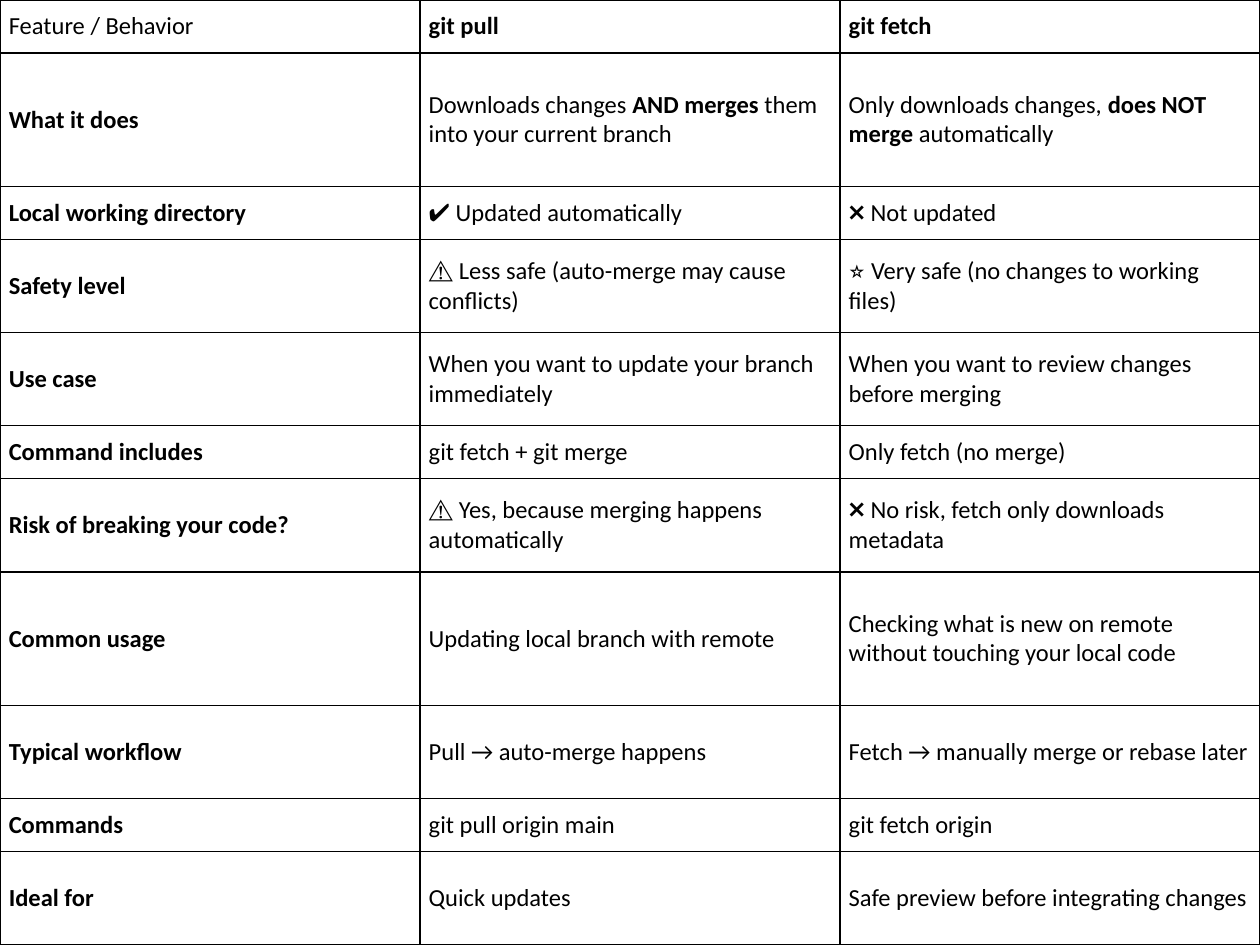
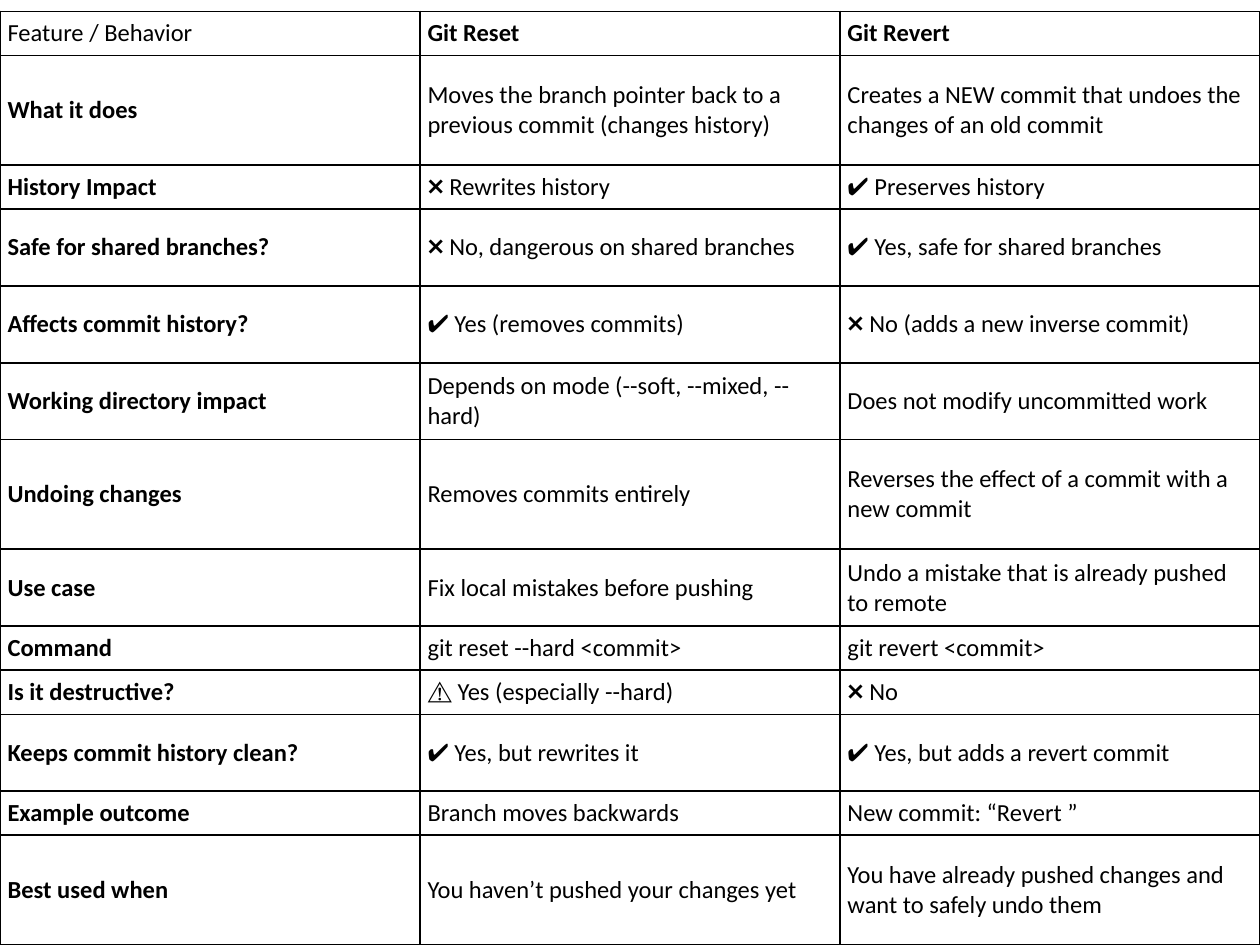
from lxml import etree
from pptx import Presentation
from pptx import util as u
from pptx.dml.color import RGBColor
from pptx.enum import text
from pptx.oxml import ns

WIDTH, HEIGHT = 10, 7.5
BLACK, WHITE = "000000", "FFFFFF"
FONT = {"name": "Calibri", "size": u.Pt(14)}
BORDER_WIDTH = u.Pt(1)
FEATURE_HEADING = "Feature / Behavior"

PULL_VS_FETCH = [
    (1, FEATURE_HEADING, "**git pull**", "**git fetch**"),
    (3, "**What it does**", "Downloads changes **AND merges** them into your current branch",
     "Only downloads changes, **does NOT merge** automatically"),
    (1, "**Local working directory**", "✔ Updated automatically", "❌ Not updated"),
    (2, "**Safety level**", "⚠️ Less safe (auto-merge may cause conflicts)",
     "⭐ Very safe (no changes to working files)"),
    (2, "**Use case**", "When you want to update your branch immediately",
     "When you want to review changes before merging"),
    (1, "**Command includes**", "git fetch + git merge", "Only fetch (no merge)"),
    (2, "**Risk of breaking your code?**", "⚠️ Yes, because merging happens automatically",
     "❌ No risk, fetch only downloads metadata"),
    (3, "**Common usage**", "Updating local branch with remote",
     "Checking what is new on remote without touching your local code"),
    (2, "**Typical workflow**", "Pull → auto-merge happens",
     "Fetch → manually merge or rebase later"),
    (1, "**Commands**", "git pull origin main", "git fetch origin"),
    (2, "**Ideal for**", "Quick updates", "Safe preview before integrating changes"),
]

RESET_VS_REVERT = [
    (1, FEATURE_HEADING, "**Git Reset**", "**Git Revert**"),
    (3, "**What it does**", "Moves the branch pointer back to a previous commit (changes history)",
     "Creates a NEW commit that undoes the changes of an old commit"),
    (1, "**History Impact**", "❌ Rewrites history", "✔ Preserves history"),
    (2, "**Safe for shared branches?**", "❌ No, dangerous on shared branches",
     "✔ Yes, safe for shared branches"),
    (2, "**Affects commit history?**", "✔ Yes (removes commits)",
     "❌ No (adds a new inverse commit)"),
    (2, "**Working directory impact**", "Depends on mode (--soft, --mixed, --hard)",
     "Does not modify uncommitted work"),
    (3, "**Undoing changes**", "Removes commits entirely",
     "Reverses the effect of a commit with a new commit"),
    (2, "**Use case**", "Fix local mistakes before pushing",
     "Undo a mistake that is already pushed to remote"),
    (1, "**Command**", "git reset --hard <commit>", "git revert <commit>"),
    (1, "**Is it destructive?**", "⚠️ Yes (especially --hard)", "❌ No"),
    (2, "**Keeps commit history clean?**", "✔ Yes, but rewrites it",
     "✔ Yes, but adds a revert commit"),
    (1, "**Example outcome**", "Branch moves backwards", "New commit: “Revert ”"),
    (3, "**Best used when**", "You haven’t pushed your changes yet",
     "You have already pushed changes and want to safely undo them"),
]


def paint(color_format, color):
    """Set a fill's or font's colour from a hex string."""
    color_format.rgb = RGBColor.from_string(color)


def apply_format(target, values):
    """Set each named attribute of the target."""
    for name, value in values.items():
        setattr(target, name, value)


def outline(cell):
    """Draw a black line on the four sides of a cell."""
    properties = cell._tc.get_or_add_tcPr()
    for position, side in enumerate(("lnL", "lnR", "lnT", "lnB")):
        line = etree.Element(ns.qn(f"a:{side}"), w=str(BORDER_WIDTH))
        fill = etree.SubElement(line, ns.qn("a:solidFill"))
        etree.SubElement(fill, ns.qn("a:srgbClr"), val=BLACK)
        properties.insert(position, line)


def write_cell(cell, wording, cell_format):
    """Fill one cell, with the wording between double asterisks in bold."""
    apply_format(cell, cell_format)
    cell.fill.solid()
    paint(cell.fill.fore_color, WHITE)
    outline(cell)
    paragraph = cell.text_frame.paragraphs[0]
    for index, part in enumerate(wording.split("**")):
        if part:
            run = paragraph.add_run()
            run.text = part
            apply_format(run.font, {**FONT, "bold": index % 2 == 1})
            paint(run.font.color, BLACK)


def comparison_slide(deck, comparison, top, line_height, row_padding, side_margin):
    """Add a full-width comparison whose row heights follow their line counts."""
    slide = deck.slides.add_slide(deck.slide_layouts[6])
    columns = len(comparison[0]) - 1
    frame = slide.shapes.add_table(
        len(comparison), columns, 0, u.Inches(top), deck.slide_width,
        deck.slide_height - u.Inches(top))
    table = frame.table
    apply_format(table, {"first_row": False, "horz_banding": False})
    for column in table.columns:
        column.width = deck.slide_width // columns
    cell_format = {
        "vertical_anchor": text.MSO_ANCHOR.MIDDLE,
        "margin_left": u.Inches(side_margin), "margin_right": u.Inches(side_margin),
        "margin_top": u.Inches(0.03), "margin_bottom": u.Inches(0.03),
    }
    for row, (lines, *wordings) in zip(table.rows, comparison):
        row.height = u.Inches(row_padding + lines * line_height)
        for cell, wording in zip(row.cells, wordings):
            write_cell(cell, wording, cell_format)


def main():
    """Build both comparisons and save the deck."""
    deck = Presentation()
    apply_format(deck, {"slide_width": u.Inches(WIDTH), "slide_height": u.Inches(HEIGHT)})
    comparison_slide(deck, PULL_VS_FETCH, 0, 0.32, 0.1, 0.07)
    comparison_slide(deck, RESET_VS_REVERT, 0.09, 0.26, 0.09, 0.06)
    deck.save("out.pptx")


if __name__ == "__main__":
    main()
